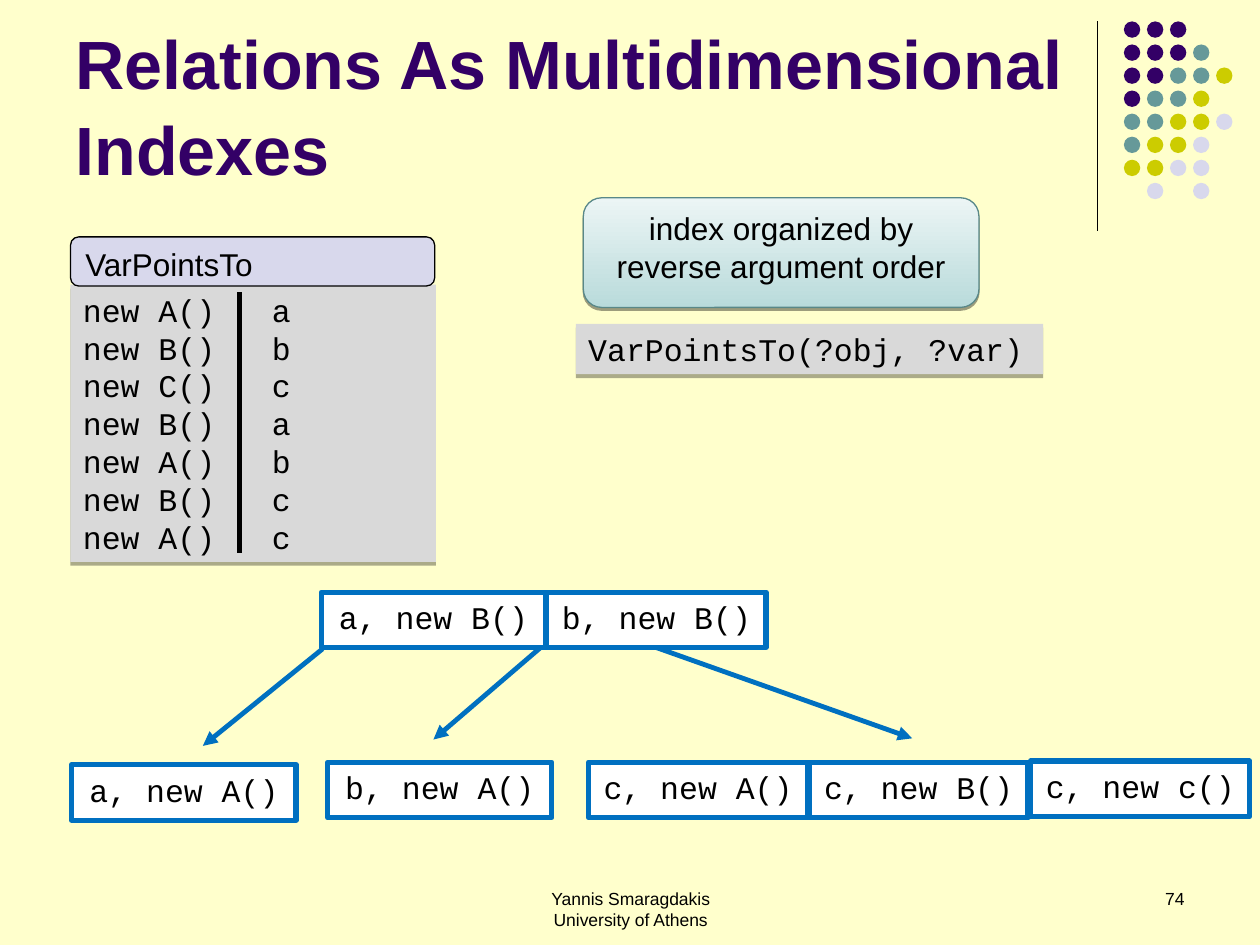
"""Build the slide on relations as multidimensional indexes."""
import pptx
import pptx.dml.color
import pptx.enum.shapes
import pptx.enum.text
import pptx.oxml
import pptx.oxml.ns
import pptx.util

RGBColor = pptx.dml.color.RGBColor
Inches, Pt = pptx.util.Inches, pptx.util.Pt
Shape = pptx.enum.shapes.MSO_SHAPE
Align = pptx.enum.text.PP_ALIGN
Anchor = pptx.enum.text.MSO_ANCHOR

CREAM = RGBColor(0xFF, 0xFF, 0xCC)
PURPLE = RGBColor(0x33, 0x00, 0x66)
TEAL = RGBColor(0x66, 0x99, 0x99)
OLIVE = RGBColor(0xCC, 0xCC, 0x00)
LILAC = RGBColor(0xD8, 0xD8, 0xEC)
GREY = RGBColor(0xD9, 0xD9, 0xD9)
MINT = RGBColor(0xB9, 0xDB, 0xDB)
PALE_MINT = RGBColor(0xEC, 0xF5, 0xF5)
DARK_MINT = RGBColor(0x59, 0x88, 0x88)
BLUE = RGBColor(0x00, 0x70, 0xC0)
BLACK = RGBColor(0, 0, 0)
WHITE = RGBColor(0xFF, 0xFF, 0xFF)

TITLE = "Relations As Multidimensional Indexes"
RELATION = "VarPointsTo"
FACTS = [("new A()", "a"), ("new B()", "b"), ("new C()", "c"), ("new B()", "a"),
         ("new A()", "b"), ("new B()", "c"), ("new A()", "c")]
QUERY = "VarPointsTo(?obj, ?var)"
CALLOUT = ["index organized by", "reverse argument order"]
FOOTER = ["Yannis Smaragdakis", "University of Athens"]
PAGE_NUMBER = "74"

DOT_COLOURS = {"P": PURPLE, "T": TEAL, "O": OLIVE, "L": LILAC}
DOT_ROWS = ["PPP", "PPPT", "PPTTO", "PTTO", "TTOOL", "TOOL", "OOLL", ".L.L"]
DOT_LEFT, DOT_TOP, DOT_PITCH, DOT_SIZE = 8.92, 0.17, 0.183, 0.13

NODE_HEIGHT = 0.44
NODES = [
    ("a, new B()", 2.55, 4.7, 1.78), ("b, new B()", 4.34, 4.7, 1.74),
    ("a, new A()", 0.57, 6.07, 1.78), ("b, new A()", 2.6, 6.05, 1.78),
    ("c, new A()", 4.67, 6.05, 1.74), ("c, new B()", 6.42, 6.05, 1.74),
    ("c, new c()", 8.18, 6.04, 1.74),
]
ARROWS = [
    ((2.56, 5.15), (1.61, 5.92), None),
    ((4.29, 5.14), (3.44, 5.87), None),
    ((5.21, 5.14), (7.24, 5.86), "b, new B()"),
]

SANS = {"name": "Arial", "size": Pt(18)}
CODE = {"name": "Courier New", "size": Pt(18)}
SMALL = {"name": "Arial", "size": Pt(10)}
HEADING = {"name": "Arial", "size": Pt(39), "bold": True}


def add_xml(parent, markup):
    namespace = pptx.oxml.ns.nsdecls("a")
    parent.append(pptx.oxml.parse_xml(markup.replace(" ", f" {namespace} ", 1)))


def write(box, lines, font, align=Align.LEFT, colour=BLACK, tab=None):
    frame = box.text_frame
    frame.word_wrap = True
    for index, line in enumerate(lines):
        para = frame.add_paragraph() if index else frame.paragraphs[0]
        para.alignment = align
        if tab:
            add_xml(para._p.get_or_add_pPr(),
                    f'<a:tabLst ><a:tab pos="{Inches(tab)}" algn="l"/></a:tabLst>')
        span = para.add_run()
        span.text = line
        for key, value in font.items():
            setattr(span.font, key, value)
        span.font.color.rgb = colour


def add_box(page, kind, place, fill, line=None, width=0.75):
    box = page.shapes.add_shape(kind, *map(Inches, place))
    box.shadow.inherit = False
    box.fill.solid()
    box.fill.fore_color.rgb = fill
    if line is None:
        box.line.fill.background()
    else:
        box.line.color.rgb = line
        box.line.width = Pt(width)
    box.text_frame.vertical_anchor = Anchor.TOP
    return box


def add_shadow(box, distance, opacity):
    add_xml(box._element.spPr.find(pptx.oxml.ns.qn("a:effectLst")),
            f'<a:outerShdw blurRad="0" dist="{Pt(distance)}" dir="5400000" rotWithShape="0">'
            f'<a:srgbClr val="{BLACK}"><a:alpha val="{opacity}000"/></a:srgbClr></a:outerShdw>')


def add_line(page, start, end, colour, width, arrow=False):
    line = page.shapes.add_connector(pptx.enum.shapes.MSO_CONNECTOR.STRAIGHT,
                                     *map(Inches, start + end))
    line.line.color.rgb = colour
    line.line.width = Pt(width)
    if arrow:
        add_xml(line.line._get_or_add_ln(), '<a:tailEnd type="triangle"/>')
    add_xml(line._element.spPr, "<a:effectLst />")
    return line


def add_dots(page):
    for row, letters in enumerate(DOT_ROWS):
        for column, letter in enumerate(letters):
            if letter in DOT_COLOURS:
                place = (DOT_LEFT + column * DOT_PITCH, DOT_TOP + row * DOT_PITCH,
                         DOT_SIZE, DOT_SIZE)
                add_box(page, Shape.OVAL, place, DOT_COLOURS[letter])


def add_title(page):
    title = page.shapes.title
    title.left, title.top, title.width, title.height = map(Inches, (0.5, 0.13, 8.25, 1.42))
    title.text_frame.vertical_anchor = Anchor.BOTTOM
    write(title, [TITLE], HEADING, colour=PURPLE)
    title.text_frame.paragraphs[0].line_spacing = 1.05


def add_relation(page):
    table = add_box(page, Shape.RECTANGLE, (0.56, 2.26, 2.9, 2.2), GREY)
    add_shadow(table, 2.2, 32)
    write(table, ["\t".join(fact) for fact in FACTS], CODE, tab=1.5)
    header = add_box(page, Shape.ROUNDED_RECTANGLE, (0.56, 1.88, 2.89, 0.39), LILAC, BLACK)
    write(header, [RELATION], SANS)
    add_line(page, (1.9, 2.32), (1.9, 4.39), BLACK, 2.5)


def add_query(page):
    query = add_box(page, Shape.RECTANGLE, (4.57, 2.57, 3.71, 0.4), GREY)
    add_shadow(query, 2.2, 32)
    write(query, [QUERY], CODE)
    callout = add_box(page, Shape.ROUNDED_RECTANGLE, (4.63, 1.57, 3.14, 0.87), MINT, DARK_MINT)
    callout.fill.gradient()
    callout.fill.gradient_angle = 90
    for stop, colour in zip(callout.fill.gradient_stops, (MINT, PALE_MINT)):
        stop.color.rgb = colour
    add_shadow(callout, 1.6, 38)
    write(callout, CALLOUT, SANS, Align.CENTER)


def add_tree(page):
    boxes = {}
    for text, left, top, width in NODES:
        box = add_box(page, Shape.RECTANGLE, (left, top, width, NODE_HEIGHT), WHITE, BLUE, 3)
        write(box, [text], CODE, Align.CENTER)
        boxes[text] = box
    for start, end, source in ARROWS:
        arrow = add_line(page, start, end, BLUE, 2.75, arrow=True)
        if source:
            arrow.begin_connect(boxes[source], 2)


def add_footer(page):
    for lines, left, width, align in ((FOOTER, 3.42, 3.17, Align.CENTER),
                                      ([PAGE_NUMBER], 7.17, 2.33, Align.RIGHT)):
        box = page.shapes.add_textbox(*map(Inches, (left, 7, width, 0.5)))
        write(box, lines, SMALL, align)


def main():
    deck = pptx.Presentation()
    deck.slide_width, deck.slide_height = Inches(10), Inches(7.5)
    page = deck.slides.add_slide(deck.slide_layouts[5])
    page.background.fill.solid()
    page.background.fill.fore_color.rgb = CREAM
    add_line(page, (8.71, 0.17), (8.71, 1.83), BLACK, 0.75)
    for build in (add_dots, add_title, add_relation, add_query, add_tree, add_footer):
        build(page)
    deck.save("out.pptx")


if __name__ == "__main__":
    main()
